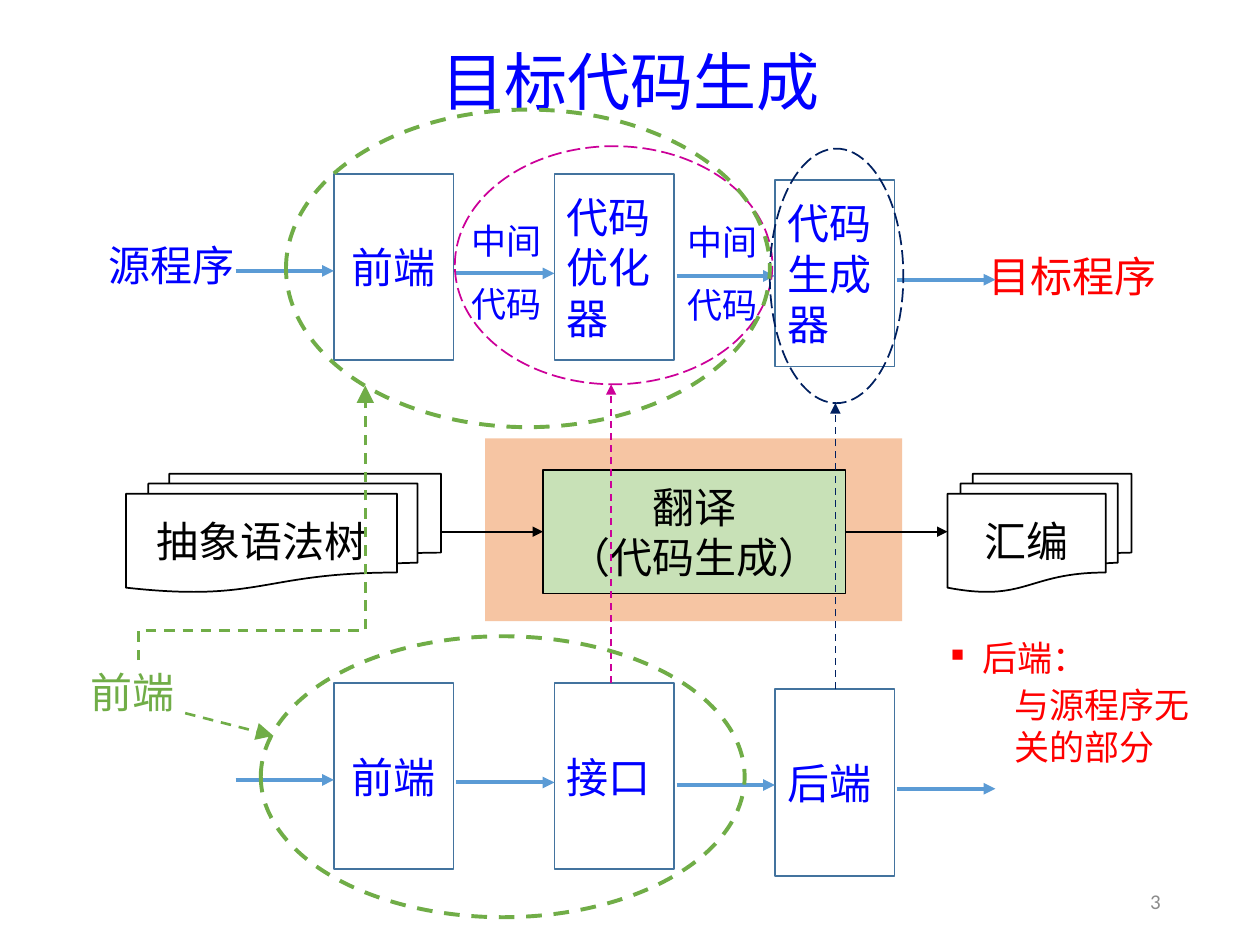
import pptx
import pptx.util
import pptx.dml.color
import pptx.enum.dml
import pptx.enum.shapes
import pptx.enum.text
import pptx.oxml
import pptx.oxml.ns
from dataclasses import dataclass
from typing import Any, Optional

Pt = pptx.util.Pt
Form = pptx.enum.shapes.MSO_SHAPE
Link = pptx.enum.shapes.MSO_CONNECTOR
Dash = pptx.enum.dml.MSO_LINE
Align = pptx.enum.text.PP_ALIGN
Anchor = pptx.enum.text.MSO_ANCHOR
qn = pptx.oxml.ns.qn

HUES = {
    "black": "000000", "blue": "0000FF", "red": "FF0000", "green": "70AD47",
    "pink": "CC0099", "navy": "002060", "edge": "43739E", "flow": "5B9BD5",
    "peach": "F4B183", "mint": "99FFCC", "gray": "8C8C8C",
}
SANS = "Noto Sans CJK SC"

deck = pptx.Presentation()
deck.slide_width = pptx.util.Inches(10)
deck.slide_height = pptx.util.Inches(7.5)
COL = deck.slide_width / 100
ROW = deck.slide_height / 75
slide = deck.slides.add_slide(deck.slide_layouts[5])


@dataclass
class Area:
    left: float
    top: float
    wide: float
    high: float

    def spans(self) -> tuple:
        return (round(self.left * COL), round(self.top * ROW),
                round(self.wide * COL), round(self.high * ROW))


@dataclass
class Type:
    size: float = 24
    hue: str = "blue"
    face: str = SANS
    align: Any = Align.LEFT
    gap: float = 0


@dataclass
class Pen:
    hue: str
    width: float = 1
    dash: Any = None


@dataclass
class Path:
    start: tuple
    stop: tuple
    pen: Pen
    head: str = "med"
    kind: Any = Link.STRAIGHT


def tint(hue: str) -> Any:
    return pptx.dml.color.RGBColor.from_string(HUES[hue])


def add(node: Any, tag: str, **marks: str) -> Any:
    child = node.makeelement(qn(tag), marks)
    node.append(child)
    return child


def style(para: Any, look: Type) -> None:
    para.alignment = look.align
    para.line_spacing = Pt(look.size * 1.2)
    font = para.font
    font.size = Pt(look.size)
    font.color.rgb = tint(look.hue)
    font.name = look.face
    add(font._element, "a:ea", typeface=look.face)


def write(shape: Any, lines: list, look: Type, anchor: Any = Anchor.MIDDLE) -> None:
    frame = shape.text_frame
    frame.word_wrap = True
    frame.vertical_anchor = anchor
    frame.text = "\n".join(lines)
    for num, para in enumerate(frame.paragraphs):
        style(para, look)
        if look.gap:
            para.space_after = Pt(look.gap)
            if num:
                para.space_before = Pt(look.gap)


def label(area: Area, lines: list, look: Type, anchor: Any = Anchor.TOP) -> Any:
    box = slide.shapes.add_textbox(*area.spans())
    write(box, lines, look, anchor)
    return box


def stroke(line: Any, pen: Pen) -> None:
    line.color.rgb = tint(pen.hue)
    line.width = Pt(pen.width)
    if pen.dash:
        line.dash_style = pen.dash


def draw(form: Any, area: Area, pen: Optional[Pen] = None,
         fill: str = "", alpha: int = 100) -> Any:
    shape = slide.shapes.add_shape(form, *area.spans())
    shape.shadow.inherit = False
    if fill:
        shape.fill.solid()
        shape.fill.fore_color.rgb = tint(fill)
        shade = shape.fill._xPr.find(qn("a:solidFill"))[0]
        add(shade, "a:alpha", val=str(alpha * 1000))
    else:
        shape.fill.background()
    if pen:
        stroke(shape.line, pen)
    else:
        shape.line.fill.background()
    return shape


def join(path: Path) -> Any:
    ends = [round(n * unit) for point in (path.start, path.stop)
            for n, unit in zip(point, (COL, ROW))]
    wire = slide.shapes.add_connector(path.kind, *ends)
    stroke(wire.line, path.pen)
    line = wire.line._get_or_add_ln()
    add(line, "a:tailEnd", type="triangle", w=path.head, len=path.head)
    add(wire._element.spPr, "a:effectLst")
    return wire


def chain(top: float, names: list) -> None:
    step = 17.5
    for num, name in enumerate(names):
        drop = 0.5 if num == 2 else 0
        box = draw(Form.RECTANGLE, Area(26.5 + step * num, top + drop, 9.5, 14.8),
                   Pen("edge"))
        write(box, [name], Type(align=Align.LEFT if num else Align.CENTER))
    for num, drop in enumerate((7.7, 7.9, 8.1, 8.4)):
        left = 18.7 + step * num
        join(Path((left, top + drop), (left + 7.8, top + drop), Pen("flow", 2.25)))


title = slide.shapes.title
title.left, title.top, title.width, title.height = Area(6.9, 2.2, 86.2, 8.4).spans()
write(title, ["目标代码生成"], Type(36, face="Noto Sans CJK JP", align=Align.CENTER))

ink = Pen("black")
dark = Type(hue="black", align=Align.CENTER)
draw(Form.RECTANGLE, Area(38.5, 34.8, 33.1, 14.5), fill="peach", alpha=74)
for left, wide, name in ((10, 25, "抽象语法树"), (75.2, 14.6, "汇编")):
    sheet = draw(Form.FLOWCHART_MULTIDOCUMENT, Area(left, 37.6, wide, 9.4), ink)
    write(sheet, [name], dark)
core = draw(Form.FLOWCHART_PROCESS, Area(43.1, 37.3, 24, 9.8), ink, "mint", 49)
write(core, ["翻译", "（代码生成）"], dark)
join(Path((35, 42.2), (43.1, 42.2), ink)).end_connect(core, 1)
join(Path((67.1, 42.2), (75.2, 42.2), ink)).begin_connect(core, 3)

for area in (Area(36.4, 16.9, 10.2, 10.6), Area(53.6, 17, 7.6, 10.6)):
    label(area, ["中间", "代码"], Type(20, gap=6))
label(Area(7.6, 18.5, 13.2, 6.8), ["源程序"], Type())
label(Area(77.5, 19.4, 15.5, 6.8), ["目标程序"], Type(hue="red"))
label(Area(70.6, 69.5, 22.5, 4), ["3"], Type(12, "gray", "Calibri", Align.RIGHT),
      Anchor.MIDDLE)

chain(13.8, ["前端", "代码优化器", "代码生成器"])
chain(54.2, ["前端", "接口", "后端"])

for hue, area, mid, low in (("pink", Area(36.1, 11.6, 25.2, 18.9), 48.5, 54.2),
                            ("navy", Area(61.1, 11.8, 10.6, 20.2), 66.3, 54.7)):
    draw(Form.OVAL, area, Pen(hue, 1, Dash.LONG_DASH))
    tip = area.top + area.high
    join(Path((mid, low), (mid, tip), Pen(hue, 1, Dash.DASH)))

note = label(Area(74.5, 48.1, 23.4, 15.2), [], Type(), Anchor.MIDDLE)
note.text_frame.text = "后端：\n与源程序无关的部分"
for num, para in enumerate(note.text_frame.paragraphs):
    props = para._p.get_or_add_pPr()
    props.set("marL", str(round((5 if num else 2.5) * COL)))
    props.set("indent", str(0 if num else round(-2.5 * COL)))
    if num:
        para.level = 1
    else:
        add(props, "a:buSzPct", val="50000")
        add(props, "a:buChar", char="■")
    style(para, Type(20, "red"))
    para.space_after = Pt(3)

for area in (Area(22.7, 8.7, 38.4, 25.2), Area(20.7, 50.5, 38.4, 22.3)):
    draw(Form.OVAL, area, Pen("green", 2.25, Dash.DASH))
label(Area(5.8, 49.7, 9.5, 10.4), ["前端"], Type(hue="green", align=Align.CENTER),
      Anchor.MIDDLE)
leaf = Pen("green", 1.5, Dash.DASH)
bend = join(Path((30.9, 50.5), (9.1, 32.5), leaf, "lg", Link.ELBOW))
bend._element.spPr.find(qn("a:xfrm")).set("rot", "5400000")
shape = bend._element.spPr.find(qn("a:prstGeom"))
add(shape.find(qn("a:avLst")), "a:gd", name="adj1", fmla="val 10800")
join(Path((14.7, 56.6), (21.7, 58.4), leaf, "lg"))

deck.save("out.pptx")
